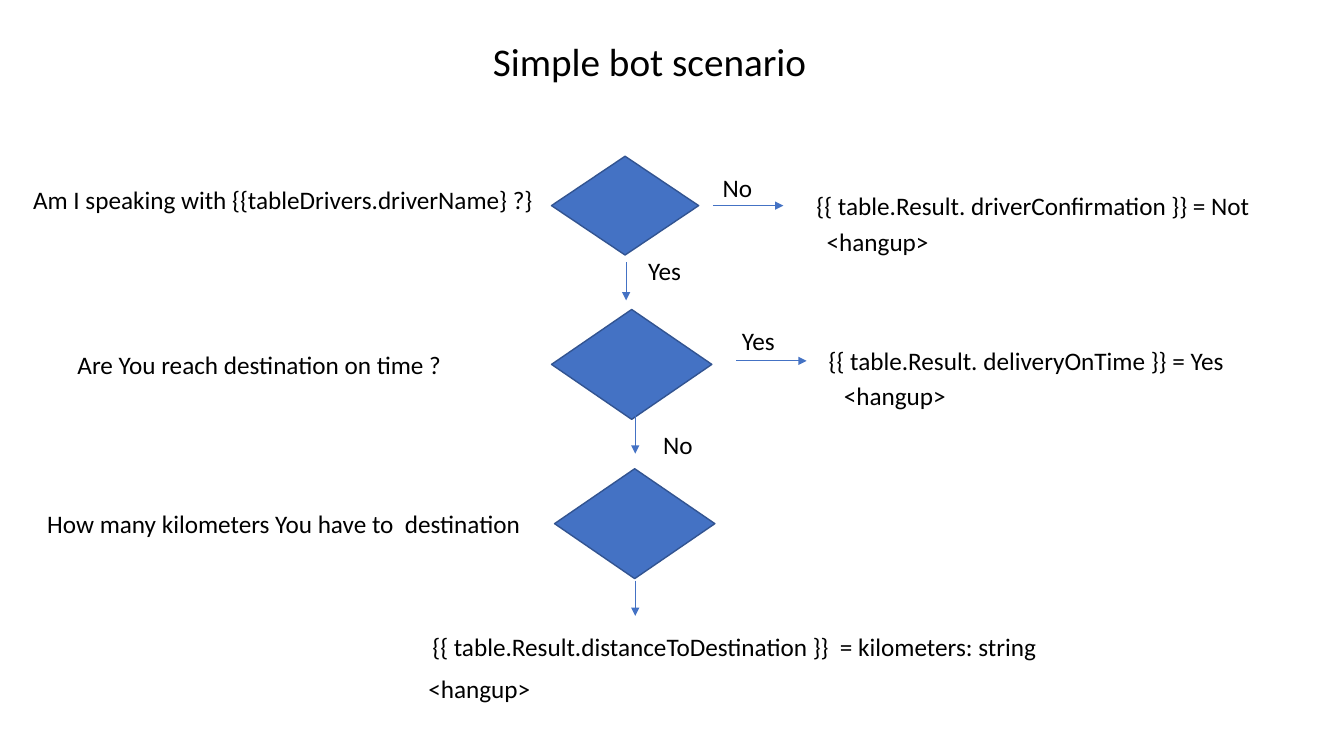
from dataclasses import dataclass

from lxml.etree import SubElement as Sub
from pptx import Presentation
from pptx.dml.color import RGBColor as RGB
from pptx.enum.shapes import MSO_CONNECTOR as Conn, MSO_SHAPE as Kind
from pptx.enum.text import MSO_AUTO_SIZE as Fit
from pptx.oxml.ns import qn
from pptx.util import Inches, Pt


@dataclass(frozen=True)
class Theme:
    """Hold the colours, font and sizes of the slide."""
    font: str = "Calibri"
    ink: RGB = RGB(0, 0, 0)
    blue: RGB = RGB(0x44, 0x72, 0xC4)
    edge: RGB = RGB(0x32, 0x54, 0x91)
    title: int = 28
    body: int = 18
    rim: float = 1
    wire: float = 0.5


THEME = Theme()

STEPS = [
    (5.47, 1.55, 1.46, 0.98),
    (5.47, 3.07, 1.59, 1.09),
    (5.5, 4.65, 1.59, 1.09),
]

ASKS = [
    ("Am I speaking with {{tableDrivers.driverName} ?} ", 0.23, 1.78, 5.27),
    ("Are You reach destination on time ? ", 0.67, 3.42, 3.99),
    ("How many kilometers You have to  destination  ", 0.37, 4.99, 5.07),
]

ENDS = [
    ("{{ table.Result. driverConfirmation }} = Not", 8, 1.84, 4.6),
    ("{{ table.Result. deliveryOnTime }} = Yes", 8.12, 3.38, 4.19),
    ("{{ table.Result.distanceToDestination }}  = kilometers: string ",
     4.19, 6.21, 6.26),
]

HANGUPS = [(8.1, 2.2), (8.27, 3.72), (4.15, 6.63)]

REPLIES = [
    ("No", 7.07, 1.66),
    ("Yes", 6.33, 2.48),
    ("Yes", 7.26, 3.18),
    ("No", 6.48, 4.21),
]

ARROWS = [
    (7.07, 2.04, 7.77, 2.04),
    (6.21, 2.6, 6.21, 2.98),
    (7.3, 3.58, 8, 3.58),
    (6.3, 4.12, 6.3, 4.5),
    (6.3, 5.76, 6.3, 6.11),
]


def add_step(slide, box):
    """Draw one decision diamond."""
    step = slide.shapes.add_shape(Kind.FLOWCHART_DECISION, *map(Inches, box))
    step.shadow.inherit = False
    step.fill.solid()
    step.fill.fore_color.rgb = THEME.blue
    step.line.color.rgb = THEME.edge
    step.line.width = Pt(THEME.rim)


def add_arrow(slide, ends):
    """Draw one thin arrow between two points."""
    wire = slide.shapes.add_connector(Conn.STRAIGHT, *map(Inches, ends))
    wire.line.color.rgb = THEME.blue
    wire.line.width = Pt(THEME.wire)
    Sub(wire.line._get_or_add_ln(), qn("a:tailEnd"), type="triangle")
    Sub(wire._element.spPr, qn("a:effectLst"))


def add_text(slide, text, left, top, width, height=0.4, size=THEME.body):
    """Place one line of text that does not wrap."""
    box = slide.shapes.add_textbox(*map(Inches, (left, top, width, height)))
    frame = box.text_frame
    frame.word_wrap = False
    frame.auto_size = Fit.SHAPE_TO_FIT_TEXT
    line = frame.paragraphs[0]
    line.text = text
    line.font.name = THEME.font
    line.font.size = Pt(size)
    line.font.color.rgb = THEME.ink


def main():
    """Build the slide and save it."""
    deck = Presentation()
    deck.slide_width, deck.slide_height = Inches(13.33), Inches(7.5)
    slide = deck.slides.add_slide(deck.slide_layouts[6])
    add_text(slide, "Simple bot scenario ", 4.79, 0.32, 3.5, 0.57, THEME.title)
    for box in STEPS:
        add_step(slide, box)
    for ends in ARROWS:
        add_arrow(slide, ends)
    for note in ASKS + ENDS:
        add_text(slide, *note)
    for left, top in HANGUPS:
        add_text(slide, "<hangup> ", left, top, 1.29)
    for word, left, top in REPLIES:
        add_text(slide, word, left, top, 0.53 if word == "Yes" else 0.5)
    deck.save("out.pptx")


main()
